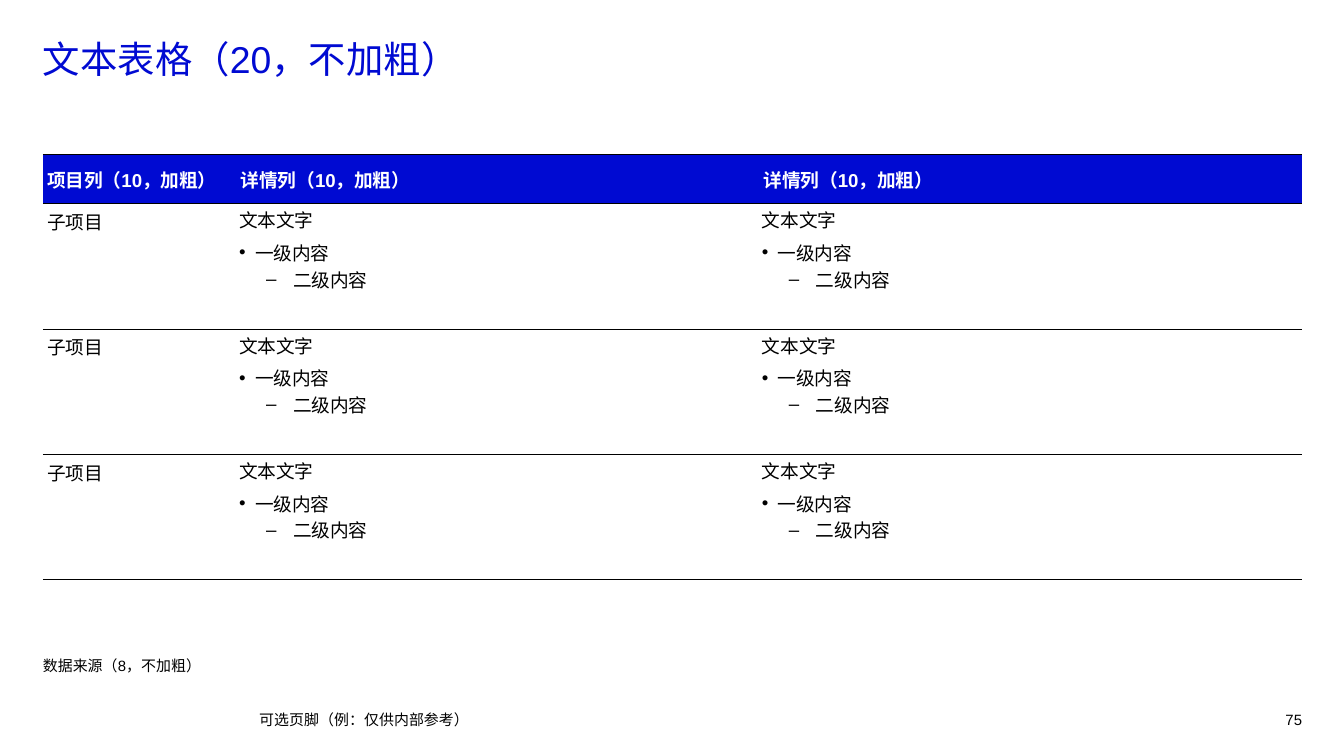
import pptx
import pptx.util
import pptx.dml.color
import pptx.enum.text
import pptx.oxml
import pptx.oxml.ns
from lxml import etree

Cm = pptx.util.Cm
Pt = pptx.util.Pt
ANCHOR = pptx.enum.text.MSO_ANCHOR
ALIGN = pptx.enum.text.PP_ALIGN

BLUE, BLACK, WHITE = "000AD2", "000000", "FFFFFF"
LEFT, WIDTH = 0.81, 23.8
DETAIL = [
    ("文本文字", 0, 0, 0, None),
    ("一级内容", 0.3, -0.3, 3, "•"),
    ("二级内容", 1.02, -0.51, 0, "–"),
]


def color(value):
    return pptx.dml.color.RGBColor.from_string(value)


class SlideBuilder:
    font_name = "Arial"

    def __init__(self, deck):
        self.slide = deck.slides.add_slide(deck.slide_layouts[5])

    def style(self, paragraph, size, ink, bold=False):
        font = paragraph.font
        font.name = self.font_name
        font.size = Pt(size)
        font.bold = bold
        font.color.rgb = color(ink)

    def fill_frame(self, frame, text, size, ink, anchor, align=ALIGN.LEFT):
        frame.margin_left = frame.margin_right = 0
        frame.margin_top = frame.margin_bottom = 0
        frame.word_wrap = True
        frame.auto_size = pptx.enum.text.MSO_AUTO_SIZE.NONE
        frame.vertical_anchor = anchor
        frame.text = text
        frame.paragraphs[0].alignment = align
        self.style(frame.paragraphs[0], size, ink)

    def title(self, text, left, top, width, height):
        heading = self.slide.shapes.title
        heading.left, heading.top = Cm(left), Cm(top)
        heading.width, heading.height = Cm(width), Cm(height)
        self.fill_frame(heading.text_frame, text, 20, BLUE, ANCHOR.TOP)

    def note(self, text, left, top, width, height, anchor=ANCHOR.MIDDLE, align=ALIGN.LEFT):
        box = self.slide.shapes.add_textbox(Cm(left), Cm(top), Cm(width), Cm(height))
        self.fill_frame(box.text_frame, text, 8, BLACK, anchor, align)
        return box.text_frame.paragraphs[0]

    def table(self, left, top, column_widths, row_heights):
        frame = self.slide.shapes.add_table(
            len(row_heights), len(column_widths), Cm(left), Cm(top),
            Cm(sum(column_widths)), Cm(sum(row_heights)))
        grid = frame.table
        grid.first_row = grid.horz_banding = False
        for column, width in zip(grid.columns, column_widths):
            column.width = Cm(width)
        for row, height in zip(grid.rows, row_heights):
            row.height = Cm(height)
        return grid

    def border(self, cell, side, points=None):
        properties = cell._tc.get_or_add_tcPr()
        line = etree.SubElement(properties, pptx.oxml.ns.qn(f"a:ln{side}"))
        if points is None:
            etree.SubElement(line, pptx.oxml.ns.qn("a:noFill"))
            return
        line.set("w", str(Pt(points)))
        solid = etree.SubElement(line, pptx.oxml.ns.qn("a:solidFill"))
        etree.SubElement(solid, pptx.oxml.ns.qn("a:srgbClr"), val=BLACK)

    def cell(self, cell, entries, margin, ink=BLACK, background=WHITE,
             bold=False, anchor=ANCHOR.TOP, top_line=0.5):
        cell.margin_left = cell.margin_right = Cm(margin)
        cell.margin_top = cell.margin_bottom = Cm(margin)
        cell.vertical_anchor = anchor
        self.border(cell, "L")
        self.border(cell, "R")
        self.border(cell, "T", top_line)
        self.border(cell, "B", 0.5)
        cell.fill.solid()
        cell.fill.fore_color.rgb = color(background)
        cell.text = "\n".join(entry[0] for entry in entries)
        for paragraph, entry in zip(cell.text_frame.paragraphs, entries):
            _, margin_left, indent, space_before, bullet = entry
            paragraph.space_before = Pt(space_before)
            properties = paragraph._p.get_or_add_pPr()
            properties.set("marL", str(Cm(margin_left)))
            properties.set("indent", str(Cm(indent)))
            if bullet:
                etree.SubElement(properties, pptx.oxml.ns.qn("a:buFont"), typeface=self.font_name)
                etree.SubElement(properties, pptx.oxml.ns.qn("a:buChar"), char=bullet)
            self.style(paragraph, 10, ink, bold)


def main():
    deck = pptx.Presentation()
    deck.slide_width, deck.slide_height = Cm(25.4), Cm(14.29)
    builder = SlideBuilder(deck)
    builder.title("文本表格（20，不加粗）", LEFT, 0.69, WIDTH, 1.83)

    item_table = builder.table(LEFT, 2.92, [3.66, 9.88, 10.26], [0.93] + [2.37] * 3)
    headers = ["项目列（10，加粗）"] + ["详情列（10，加粗）"] * 2
    for column, header in enumerate(headers):
        builder.cell(item_table.cell(0, column), [(header, 0, 0, 0, None)], 0.08,
                     WHITE, BLUE, True, ANCHOR.MIDDLE, 0.75)
    for row in range(1, 4):
        builder.cell(item_table.cell(row, 0), [("子项目", 0, 0, 0, None)], 0.08)
        for column in (1, 2):
            builder.cell(item_table.cell(row, column), DETAIL, 0.05)

    source = builder.note("数据来源（8，不加粗）", LEFT, 11.4, WIDTH, 1.35, ANCHOR.BOTTOM)
    source.line_spacing = 1.1
    builder.note("可选页脚（例：仅供内部参考）", 4.9, 13.41, 16.41, 0.38)
    builder.note("75", 23.62, 13.41, 0.99, 0.38, align=ALIGN.RIGHT)
    deck.save("out.pptx")


if __name__ == "__main__":
    main()
